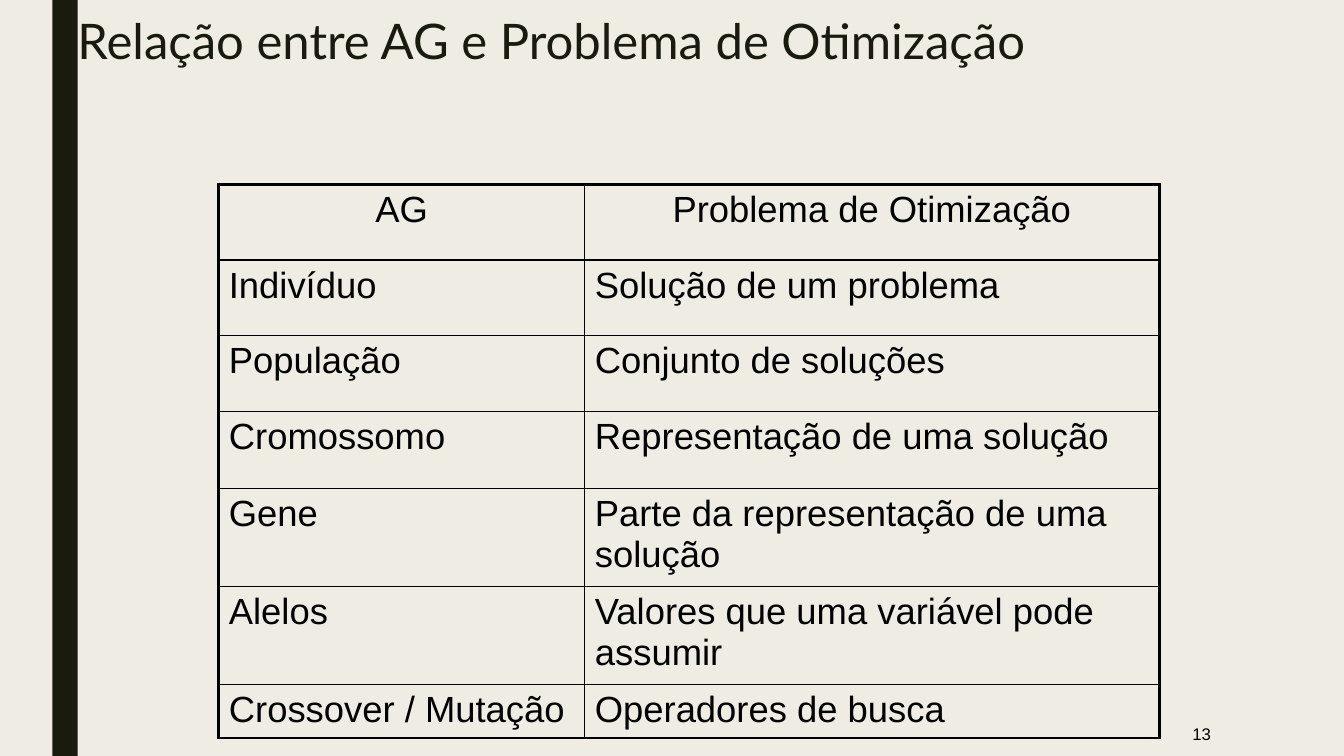
"""Build a slide relating genetic algorithm terms to optimization problems."""
import pptx
import pptx.dml.color
import pptx.enum.shapes
import pptx.enum.text
import pptx.oxml
import pptx.oxml.ns
import pptx.util
from pptx.util import Inches

TITLE = "Relação entre AG e Problema de Otimização"
SLIDE_NUMBER = "13"
TERMS = [
    ("AG", "Problema de Otimização"),
    ("Indivíduo", "Solução de um problema"),
    ("População", "Conjunto de soluções"),
    ("Cromossomo", "Representação de uma solução"),
    ("Gene", "Parte da representação de uma solução"),
    ("Alelos", "Valores que uma variável pode assumir"),
    ("Crossover / Mutação", "Operadores de busca"),
]
COLUMN_WIDTHS = [3.63, 5.7]
ROW_HEIGHTS = [0.75, 0.75, 0.75, 0.77, 0.97, 0.97, 0.53]
OUTER_LINE, INNER_LINE = 2.25, 1

CREAM = pptx.dml.color.RGBColor(0xEF, 0xED, 0xE3)
DARK_OLIVE = pptx.dml.color.RGBColor(0x19, 0x1B, 0x0E)
BLACK = pptx.dml.color.RGBColor(0, 0, 0)
ALIGN = pptx.enum.text.PP_ALIGN
ANCHOR = pptx.enum.text.MSO_ANCHOR


def write_text(text_frame, text, size, font="Arial", color=BLACK,
               align=ALIGN.LEFT, anchor=ANCHOR.TOP, line_spacing=None):
    text_frame.word_wrap = True
    text_frame.vertical_anchor = anchor
    paragraph = text_frame.paragraphs[0]
    paragraph.alignment = align
    paragraph.line_spacing = line_spacing
    run = paragraph.add_run()
    run.text = text
    run.font.size = pptx.util.Pt(size)
    run.font.name = font
    run.font.color.rgb = color


def set_borders(cell, widths):
    properties = cell._tc.get_or_add_tcPr()
    for position, (side, width) in enumerate(widths.items()):
        line = pptx.oxml.parse_xml(
            f'<a:ln{side} {pptx.oxml.ns.nsdecls("a")} w="{pptx.util.Pt(width)}">'
            f'<a:solidFill><a:srgbClr val="{BLACK}"/></a:solidFill></a:ln{side}>')
        properties.insert(position, line)


def add_terms_table(slide):
    row_count, column_count = len(TERMS), len(COLUMN_WIDTHS)
    table = slide.shapes.add_table(
        row_count, column_count, Inches(2.17), Inches(1.83),
        Inches(sum(COLUMN_WIDTHS)), Inches(sum(ROW_HEIGHTS))).table
    table.first_row = table.horz_banding = False
    for column, width in zip(table.columns, COLUMN_WIDTHS):
        column.width = Inches(width)
    for row, height in zip(table.rows, ROW_HEIGHTS):
        row.height = Inches(height)
    for row_index, terms in enumerate(TERMS):
        for column_index, term in enumerate(terms):
            cell = table.cell(row_index, column_index)
            cell.fill.background()
            write_text(cell.text_frame, term, size=26,
                       align=ALIGN.LEFT if row_index else ALIGN.CENTER)
            outer_sides = {
                "L": column_index == 0,
                "R": column_index == column_count - 1,
                "T": row_index == 0,
                "B": row_index == row_count - 1,
            }
            set_borders(cell, {side: OUTER_LINE if outer else INNER_LINE
                               for side, outer in outer_sides.items()})


def main():
    presentation = pptx.Presentation()
    presentation.slide_width = Inches(13.33)
    presentation.slide_height = Inches(7.5)
    slide = presentation.slides.add_slide(presentation.slide_layouts[6])
    slide.background.fill.solid()
    slide.background.fill.fore_color.rgb = CREAM

    side_bar = slide.shapes.add_shape(
        pptx.enum.shapes.MSO_SHAPE.RECTANGLE,
        Inches(0.52), 0, Inches(0.25), presentation.slide_height)
    side_bar.shadow.inherit = False
    side_bar.fill.solid()
    side_bar.fill.fore_color.rgb = DARK_OLIVE
    side_bar.line.fill.background()

    number_box = slide.shapes.add_textbox(
        Inches(10.36), Inches(7.06), Inches(1.75), Inches(0.44))
    write_text(number_box.text_frame, SLIDE_NUMBER, size=12,
               align=ALIGN.RIGHT, anchor=ANCHOR.MIDDLE)
    title_box = slide.shapes.add_textbox(
        Inches(0.67), Inches(0.13), Inches(12.31), Inches(1.42))
    write_text(title_box.text_frame, TITLE, size=35, font="Lato",
               color=DARK_OLIVE, line_spacing=0.89)
    add_terms_table(slide)
    presentation.save("out.pptx")


if __name__ == "__main__":
    main()
